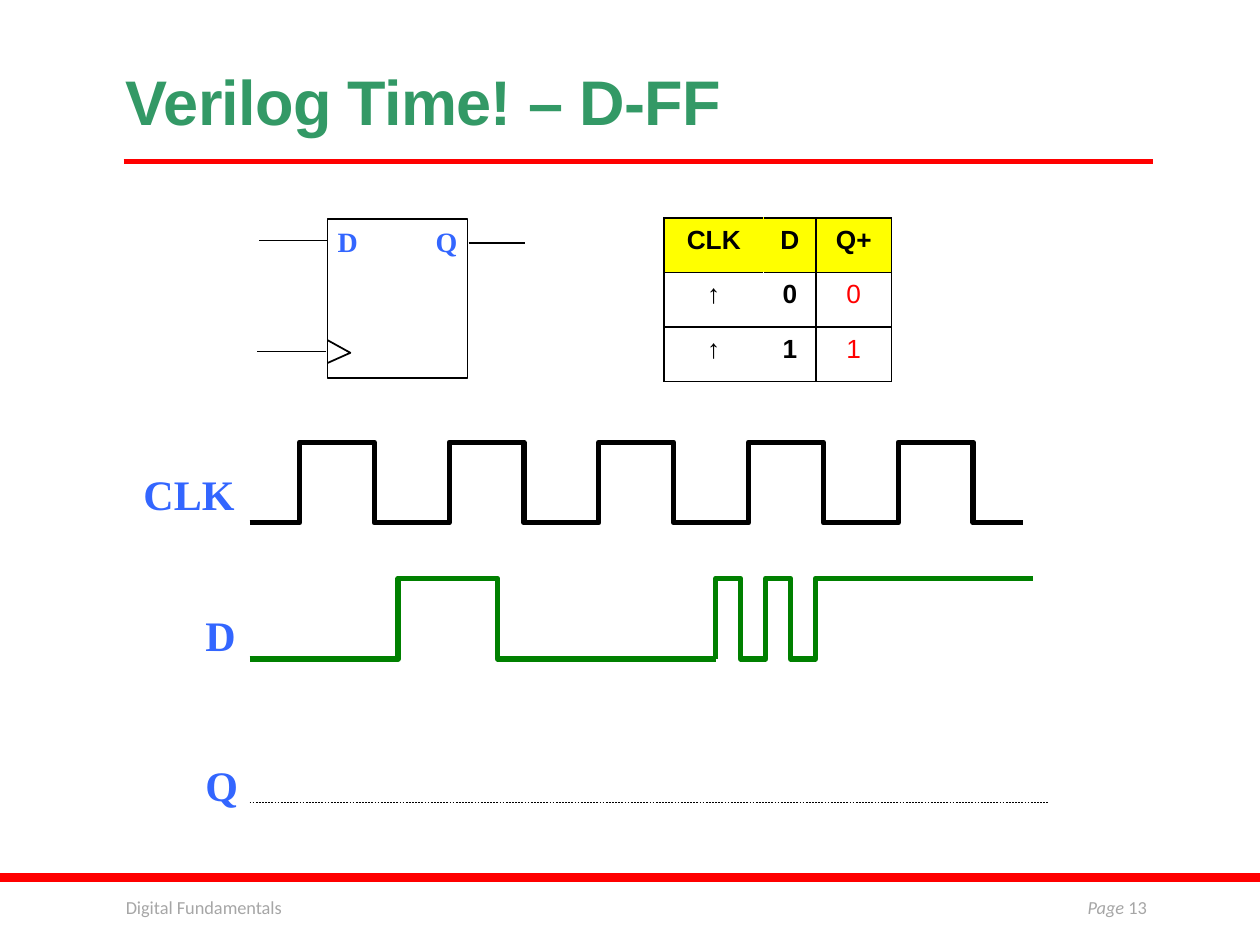
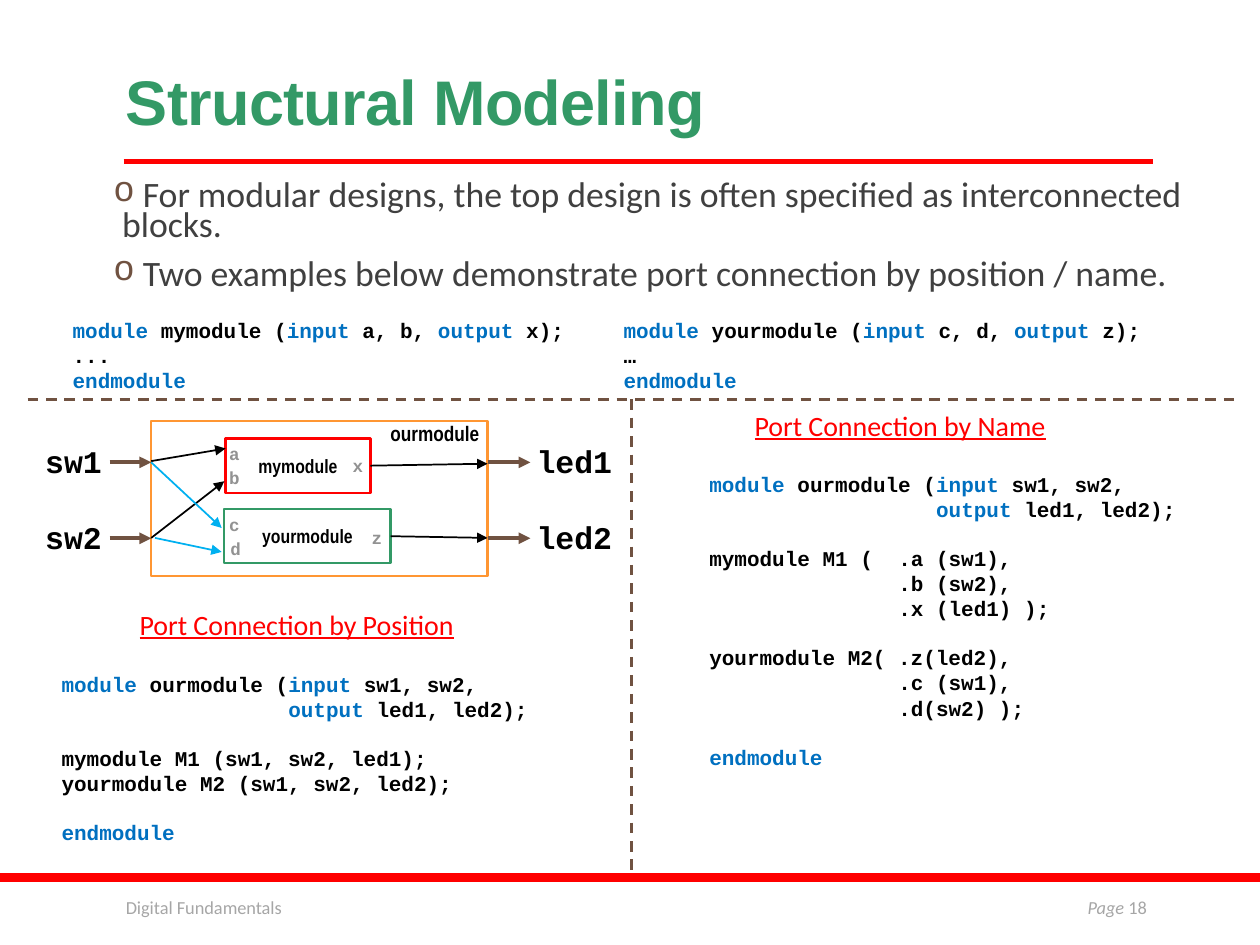
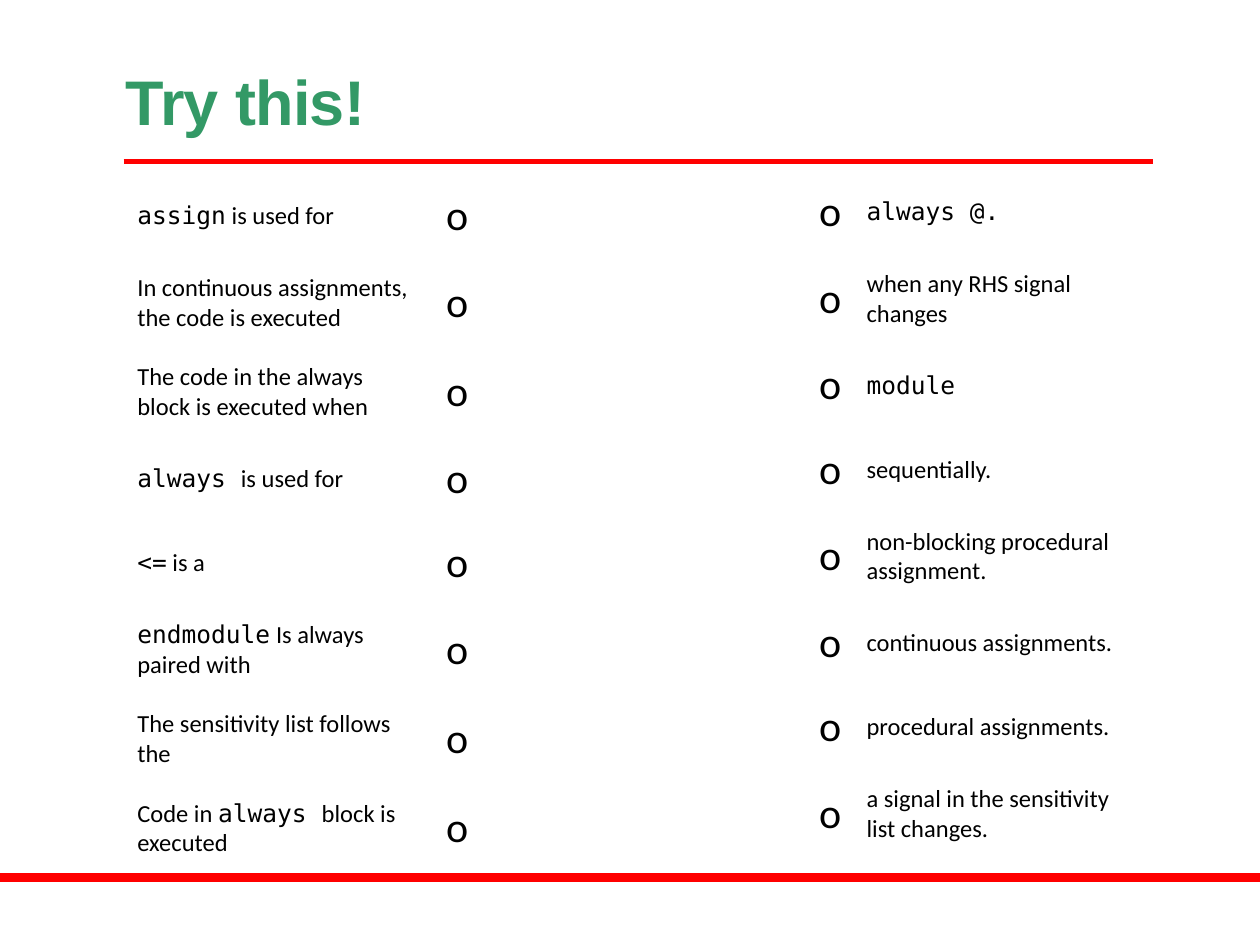
from lxml import etree
from pptx import Presentation
from pptx.dml.color import RGBColor
from pptx.enum.dml import MSO_LINE
from pptx.enum.shapes import MSO_CONNECTOR, MSO_SHAPE
from pptx.enum.text import MSO_ANCHOR, PP_ALIGN
from pptx.oxml.ns import qn
from pptx.util import Pt

RECTANGLE = MSO_SHAPE.RECTANGLE
STRAIGHT = MSO_CONNECTOR.STRAIGHT
DASH = MSO_LINE.DASH
CENTER, RIGHT = PP_ALIGN.CENTER, PP_ALIGN.RIGHT
MIDDLE, BOTTOM = MSO_ANCHOR.MIDDLE, MSO_ANCHOR.BOTTOM
RIGHT_SIDE = 3
PLAIN_TABLE = "{2D5ABB26-0587-4C30-8999-92F81FD0307C}"

COLOURS = {
    "red": "FF0000", "green": "339966", "signal": "008000", "black": "000000",
    "white": "FFFFFF", "yellow": "FFFF00", "label": "3366FF", "keyword": "0070C0",
    "brown": "705241", "orange": "FF9632", "sky": "00B0F0", "port": "929292",
    "body": "404040", "footer": "A6A6A6",
}


def font(name, size, colour="black", **extra):
    return {"name": name, "size": Pt(size), "colour": colour, **extra}


FONTS = {
    "title": font("Arial", 36, "green", bold=True),
    "footer": font("Calibri", 10.5, "footer"),
    "page": font("Calibri", 10.5, "footer", italic=True),
    "body": font("Calibri", 20.4, "body"),
    "pin": font("Times New Roman", 16, "label", bold=True),
    "signal": font("Times New Roman", 24, "label", bold=True),
    "table": font("Arial", 15, bold=True),
    "result": font("Arial", 15, "red", bold=False),
    "code": font("Courier New", 12, bold=True),
    "keyword": font("Courier New", 12, "keyword", bold=True),
    "port": font("Courier New", 10, "port", bold=True),
    "board": font("Courier New", 18, bold=True),
    "module": font("Arial Narrow", 11, bold=True),
    "outer": font("Arial Narrow", 12, bold=True),
    "heading": font("Calibri", 16, "red", underline=True),
    "quiz": font("Calibri", 14),
    "quiz_code": font("DejaVu Sans Mono", 14),
    "dot": font("Calibri", 24),
}


def rgb(colour):
    return RGBColor.from_string(COLOURS[colour])


def set_all(target, values):
    for name, value in values.items():
        setattr(target, name, value)


class Deck:
    def __init__(self):
        self.presentation = Presentation()
        self.presentation.slide_width = Pt(720)
        self.presentation.slide_height = Pt(540)
        self.slide = None

    def start(self, title, page=None):
        layout = self.presentation.slide_layouts[6]
        self.slide = self.presentation.slides.add_slide(layout)
        self.rectangle(0, 499, 720, 5, fill="red")
        self.line(70.6, 92.2, 658.8, 92.2, "red", 3)
        frame = self.text(64.8, 22.3, 594, 60.5, [title], "title", line_spacing=0.85)
        frame.vertical_anchor = BOTTOM
        frame.paragraphs[0].runs[0].font._element.set("spc", "-40")
        if page:
            self.text(64.8, 508.3, 285, 28.8, ["Digital Fundamentals"], "footer")
            self.text(584.6, 508.3, 77.8, 28.8, [f"*Page *{page}"], "footer", "page",
                      alignment=RIGHT)

    def put_lines(self, frame, lines, style, accent=None, **paragraph_format):
        for index, line in enumerate(lines):
            paragraph = frame.add_paragraph() if index else frame.paragraphs[0]
            set_all(paragraph, paragraph_format)
            for part, words in enumerate(line.split("*")):
                if not words:
                    continue
                run = paragraph.add_run()
                run.text = words
                values = dict(FONTS[accent if part % 2 else style])
                run.font.color.rgb = rgb(values.pop("colour"))
                set_all(run.font, values)

    def text(self, left, top, width, height, lines, style, accent=None, wrap=True,
             **paragraph_format):
        box = self.slide.shapes.add_textbox(Pt(left), Pt(top), Pt(width), Pt(height))
        frame = box.text_frame
        frame.word_wrap = wrap
        self.put_lines(frame, lines, style, accent, **paragraph_format)
        return frame

    def label(self, left, top, width, height, words, style):
        self.text(left, top, width, height, [words], style, wrap=False)

    def bullets(self, left, top, width, height, lines):
        frame = self.text(left, top, width, height, lines, "body", line_spacing=0.7,
                          space_before=Pt(9), space_after=Pt(1.5))
        set_all(frame, {"margin_left": 0, "margin_right": 0})
        for paragraph in frame.paragraphs:
            properties = paragraph._p.get_or_add_pPr()
            properties.set("marL", str(Pt(5)))
            properties.set("indent", str(-Pt(5)))
            colour = etree.SubElement(properties, qn("a:buClr"))
            etree.SubElement(colour, qn("a:srgbClr"), val=COLOURS["brown"])
            etree.SubElement(properties, qn("a:buFont"), typeface="Courier New")
            etree.SubElement(properties, qn("a:buChar"), char="o")

    def code(self, left, top, width, height, blocks):
        lines = [line for block in blocks for line in block]
        frame = self.text(left, top, width, height, lines, "code", "keyword")
        openers = [block[0] for block in blocks[1:]]
        for paragraph, line in zip(frame.paragraphs, lines):
            if line in openers:
                paragraph.space_before = Pt(13.6)
            if "\t" in line:
                stop = Pt(129.6 if "*" in line else 108)
                tabs = etree.SubElement(paragraph._p.get_or_add_pPr(), qn("a:tabLst"))
                etree.SubElement(tabs, qn("a:tab"), pos=str(stop), algn="l")

    def paint(self, shape, fill, line, weight):
        shape.shadow.inherit = False
        if fill:
            shape.fill.solid()
            shape.fill.fore_color.rgb = rgb(fill)
        else:
            shape.fill.background()
        if line:
            shape.line.color.rgb = rgb(line)
            shape.line.width = Pt(weight)
        else:
            shape.line.fill.background()

    def rectangle(self, left, top, width, height, fill=None, line=None, weight=1.25,
                  words=None):
        shape = self.slide.shapes.add_shape(
            RECTANGLE, Pt(left), Pt(top), Pt(width), Pt(height))
        self.paint(shape, fill, line, weight)
        if words:
            shape.text_frame.vertical_anchor = MIDDLE
            self.put_lines(shape.text_frame, [words], "module", alignment=CENTER)
        return shape

    def outline(self, points, colour, weight):
        corners = [(Pt(x), Pt(y)) for x, y in points]
        builder = self.slide.shapes.build_freeform(*corners[0])
        builder.add_line_segments(corners[1:], close=False)
        self.paint(builder.convert_to_shape(), None, colour, weight)

    def wave(self, start, edges, end, low, high, colour):
        points = [(start, low)]
        level, other = low, high
        for edge in edges:
            points += [(edge, level), (edge, other)]
            level, other = other, level
        points.append((end, level))
        self.outline(list(dict.fromkeys(points)), colour, 3)

    def line(self, x1, y1, x2, y2, colour, weight, dash=None, arrow=False, source=None):
        connector = self.slide.shapes.add_connector(
            STRAIGHT, Pt(x1), Pt(y1), Pt(x2), Pt(y2))
        if source:
            connector.begin_connect(source, RIGHT_SIDE)
        connector.line.color.rgb = rgb(colour)
        connector.line.width = Pt(weight)
        if dash:
            connector.line.dash_style = dash
        properties = connector._element.spPr
        if arrow:
            etree.SubElement(properties.find(qn("a:ln")), qn("a:tailEnd"), type="triangle")
        etree.SubElement(properties, qn("a:effectLst"))

    def table(self, left, top, widths, heights):
        frame = self.slide.shapes.add_table(
            len(heights), len(widths), Pt(left), Pt(top), Pt(sum(widths)), Pt(sum(heights)))
        table = frame.table
        set_all(table, {"first_row": False, "horz_banding": False})
        table._tbl.tblPr.find(qn("a:tableStyleId")).text = PLAIN_TABLE
        for column, width in zip(table.columns, widths):
            column.width = Pt(width)
        for row, height in zip(table.rows, heights):
            row.height = Pt(height)
        for cell in table.iter_cells():
            cell.fill.background()
        return table

    def borders(self, cell, sides):
        properties = cell._tc.get_or_add_tcPr()
        for index, (side, colour) in enumerate(sides.items()):
            line = etree.Element(qn(f"a:ln{side}"), w=str(Pt(1)))
            fill = etree.SubElement(line, qn("a:solidFill"))
            etree.SubElement(fill, qn("a:srgbClr"), val=COLOURS[colour])
            properties.insert(index, line)

    def truth_table(self, left, top, widths, height, rows):
        table = self.table(left, top, widths, [height] * len(rows))
        for r, row in enumerate(rows):
            for c, words in enumerate(row):
                cell = table.cell(r, c)
                set_all(cell, {"margin_left": Pt(8.64), "margin_right": Pt(8.64),
                               "margin_top": Pt(4.32), "margin_bottom": Pt(4.32)})
                style = "result" if r and c == 2 else "table"
                self.put_lines(cell.text_frame, [words], style, alignment=CENTER)
                background = "white" if r else "yellow"
                if not r:
                    cell.fill.solid()
                    cell.fill.fore_color.rgb = rgb(background)
                self.borders(cell, {"L": background if c == 1 else "black",
                                    "R": background if c == 0 else "black",
                                    "T": "black", "B": "black"})

    def quiz(self, left, top, widths, phrases, dot_column):
        heights = [51.1 if len(phrase) > 25 else 48.1 for phrase in phrases]
        table = self.table(left, top, widths, heights)
        for row, phrase in enumerate(phrases):
            dot, answer = table.cell(row, dot_column), table.cell(row, 1 - dot_column)
            self.put_lines(dot.text_frame, ["ο"], "dot")
            self.put_lines(answer.text_frame, [phrase], "quiz", "quiz_code")
            dot.vertical_anchor = answer.vertical_anchor = MIDDLE


def flip_flop(deck):
    deck.start("Verilog Time! – D-FF", 13)
    deck.line(142.6, 458.6, 599, 458.6, "black", 0.25, DASH)
    deck.truth_table(379.4, 124.6, [57, 30, 43], 31.1,
                     [["CLK", "D", "Q+"], ["↑", "0", "0"], ["↑", "1", "1"]])
    deck.outline([(187.2, 194.4), (200.2, 201.6), (187.2, 207.4)], "black", 1)
    for x1, x2, y in [(146.9, 186.5, 200.9), (148.3, 187.2, 137.5), (267.8, 300.2, 139)]:
        deck.line(x1, y, x2, y, "black", 1)
    deck.rectangle(187.2, 125.3, 79.9, 90.7, line="black", weight=1)
    for left, pin in [(185.8, "D"), (241.9, "Q")]:
        deck.text(left, 124.6, 27.4, 26.6, [pin], "pin")
    clock_edges = [171.1 + 42.77 * step for step in range(10)]
    deck.wave(142.6, clock_edges, 584.6, 298.8, 252.7, "black")
    deck.wave(142.6, [227.5, 284.4], 409, 376.6, 330.5, "signal")
    glitch_edges = [409 + 14.25 * step for step in range(5)]
    deck.wave(409, glitch_edges, 590.4, 376.6, 330.5, "signal")
    for left, top, width, name in [(74.9, 264.2, 70.6, "CLK"), (110.2, 344.9, 54, "D"),
                                   (110.2, 430.6, 54, "Q")]:
        deck.text(left, top, width, 36, [name], "signal")


def structural(deck):
    deck.start("Structural Modeling", 18)
    deck.rectangle(86.4, 240.5, 192.2, 88.6, "white", "orange")
    deck.bullets(64.8, 101.5, 616.3, 74.2, [
        " For modular designs, the top design is often specified as interconnected blocks.",
        " Two examples below demonstrate port connection by position / name."])
    deck.code(34.4, 177.8, 300.2, 51.1, [
        ["*module* mymodule (*input* a, b, *output* x);", "...", "*endmodule*"]])
    deck.code(349.2, 177.8, 323.3, 65.5, [
        ["*module* yourmodule (*input* c, d, *output* z);", "…", "*endmodule*"]])
    header = ["*module* ourmodule (*input* sw1, sw2,", "\t*output* led1, led2);"]
    deck.code(28.1, 380.2, 285.1, 108.7, [
        header,
        ["mymodule M1 (sw1, sw2, led1);", "yourmodule M2 (sw1, sw2, led2);"],
        ["*endmodule*"]])
    deck.line(15.8, 228.2, 704.9, 228.2, "brown", 1.5, DASH)
    deck.line(360.7, 228.2, 360.7, 499.7, "brown", 1.5, DASH)
    deck.code(398.2, 265.7, 298.8, 181.4, [
        header,
        ["mymodule M1 (\t.a (sw1),", "\t.b (sw2),", "\t.x (led1) );"],
        ["yourmodule M2( .z(led2),", "\t.c (sw1),", "\t.d(sw2) );"],
        ["*endmodule*"]])

    mymodule = deck.rectangle(128.9, 250.6, 82.8, 31, "white", "red", words="mymodule")
    yourmodule = deck.rectangle(128.2, 290.9, 95, 31, "white", "green", words="yourmodule")
    for number, y in enumerate([264.2, 307.6], start=1):
        deck.line(62.6, y, 86.4, y, "brown", 2.25, arrow=True)
        deck.line(278.6, y, 303.1, y, "brown", 2.25, arrow=True)
        deck.label(18.7, y - 15, 46.8, 28.8, f"sw{number}", "board")
        deck.label(299.5, y - 15, 58.3, 28.8, f"led{number}", "board")
    for left, top, port in [(123.8, 249.8, "a"), (123.8, 263.5, "b"), (194.4, 256.3, "x"),
                            (123.8, 290.2, "c"), (124.6, 303.8, "d"), (205.2, 297.4, "z")]:
        deck.label(left, top, 20.9, 19.4, port, "port")
    deck.label(216, 236.9, 66.2, 21.6, "ourmodule", "outer")

    for x1, y1, x2, y2, colour, source in [
            (86.4, 263.5, 128.9, 256.3, "black", None),
            (86.4, 307.4, 128.2, 275, "black", None),
            (86.4, 264.2, 126.7, 301.7, "sky", None),
            (88.6, 307.4, 126.7, 315.4, "sky", None),
            (211.7, 266.1, 278.6, 265, "black", mymodule),
            (223.2, 306.4, 278.6, 307.4, "black", yourmodule)]:
        deck.line(x1, y1, x2, y2, colour, 1, arrow=True, source=source)
    deck.label(72.7, 343.4, 196.6, 26.6, "Port Connection by Position", "heading")
    deck.label(424.1, 229.7, 182.9, 26.6, "Port Connection by Name", "heading")


def matching(deck):
    deck.start("Try this!")
    deck.quiz(71.3, 99.4, [176.4, 36], [
        "*assign* is used for",
        "In continuous assignments, the code is executed",
        "The code in the always block is executed when",
        "*always *is used for",
        "*<=* is a",
        "*endmodule* Is always paired with",
        "The sensitivity list follows the",
        "Code in *always *block is executed"], dot_column=1)
    deck.quiz(460.8, 97.2, [27.2, 171.2], [
        "*always @.*",
        "when any RHS signal changes",
        "*module*",
        "sequentially.",
        "non-blocking procedural assignment.",
        "continuous assignments.",
        "procedural assignments.",
        "a signal in the sensitivity list changes."], dot_column=0)


def main():
    deck = Deck()
    flip_flop(deck)
    structural(deck)
    matching(deck)
    deck.presentation.save("out.pptx")


if __name__ == "__main__":
    main()
